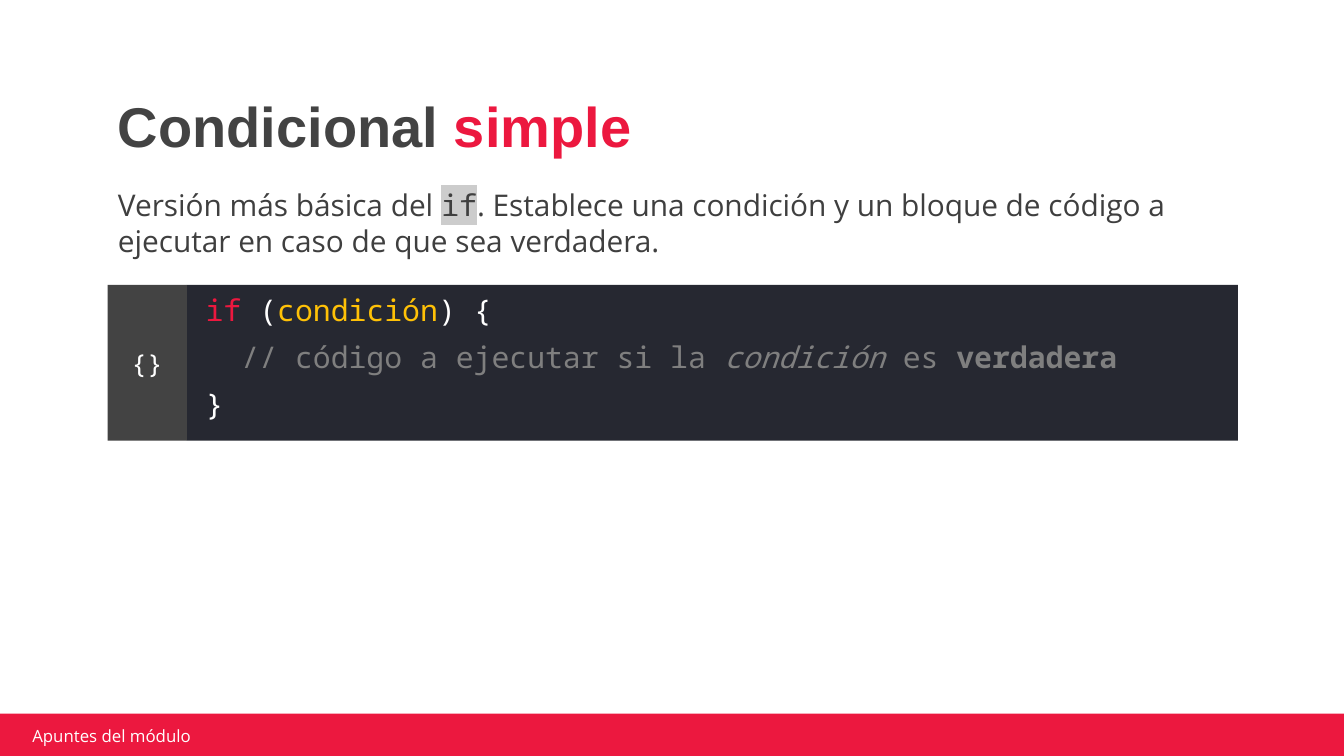
from dataclasses import dataclass
from typing import Optional

from lxml.etree import SubElement
from pptx import Presentation
from pptx.dml.color import RGBColor
from pptx.enum.shapes import MSO_SHAPE
from pptx.enum.text import MSO_ANCHOR as Anchor, PP_ALIGN as Align
from pptx.oxml.ns import qn
from pptx.util import Inches, Pt

WHITE = RGBColor(0xFF, 0xFF, 0xFF)
RED = RGBColor(0xEC, 0x18, 0x3F)
AMBER = RGBColor(0xFF, 0xC1, 0x07)
CHARCOAL = RGBColor(0x43, 0x43, 0x43)
INK = RGBColor(0x3F, 0x3F, 0x3F)
GRAY = RGBColor(0x7F, 0x7F, 0x7F)
NAVY = RGBColor(0x26, 0x28, 0x31)
HIGHLIGHT = RGBColor(0xCC, 0xCC, 0xCC)

HEADING_FONT = "Arial"
BODY_FONT = "Open Sans"
CODE_FONT = "Noto Sans Mono"


@dataclass(frozen=True)
class Span:
    text: str
    color: RGBColor
    font: str = CODE_FONT
    bold: bool = False
    italic: bool = False
    highlight: Optional[RGBColor] = None


@dataclass(frozen=True)
class Block:
    box: tuple[float, float, float, float]
    lines: tuple[tuple[Span, ...], ...] = ()
    size: float = 16
    fill: Optional[RGBColor] = None
    anchor: Anchor = Anchor.MIDDLE
    align: Align = Align.LEFT
    insets: tuple[float, float, float, float] = (0.1, 0.1, 0.1, 0.1)
    space_before: float = 0
    line_spacing: float = 1.0


TITLE = Block(
    (0.78, 0.6, 8.43, 0.69),
    ((Span("Condicional ", CHARCOAL, HEADING_FONT, bold=True),
      Span("simple", RED, HEADING_FONT, bold=True)),),
    size=30, anchor=Anchor.BOTTOM, line_spacing=0.9,
)
EXPLANATION = Block(
    (0.78, 1.29, 8.43, 0.53),
    ((Span("Versión más básica del ", INK, BODY_FONT),
      Span("if", INK, highlight=HIGHLIGHT),
      Span(". Establece una condición y un bloque de código a ejecutar "
           "en caso de que sea verdadera.", INK, BODY_FONT)),),
    anchor=Anchor.TOP,
)
CODE = Block(
    (1.39, 2.12, 7.82, 1.16),
    ((Span("if", RED), Span(" (", WHITE),
      Span("condición", AMBER), Span(") {", WHITE)),
     (Span("  ", INK), Span("// código a ejecutar si la ", GRAY),
      Span("condición ", GRAY, italic=True), Span("es ", GRAY),
      Span("verdadera", GRAY, bold=True)),
     (Span("}", WHITE),)),
    fill=NAVY, insets=(0.14, 0, 0.1, 0.1), space_before=6,
)
BRACES = Block(
    (0.8, 2.12, 0.59, 1.16), ((Span("{}", WHITE),),),
    size=14, fill=CHARCOAL, align=Align.CENTER,
)
FOOTER_BAR = Block((-0.02, 5.31, 10.03, 0.36), fill=RED)
FOOTER = Block(
    (0.19, 5.4, 2.39, 0.15),
    ((Span("Apuntes del módulo", WHITE, BODY_FONT),),),
    size=9, insets=(0.05, 0.02, 0.05, 0.02),
)


def add_span(paragraph, span: Span, size: float) -> None:
    run = paragraph.add_run()
    run.text = span.text
    font = run.font
    font.name, font.size = span.font, Pt(size)
    font.bold, font.italic = span.bold, span.italic
    font.color.rgb = span.color
    if span.highlight is not None:
        properties = run._r.get_or_add_rPr()
        mark = SubElement(properties, qn("a:highlight"))
        SubElement(mark, qn("a:srgbClr"), val=str(span.highlight))
        properties.find(qn("a:solidFill")).addnext(mark)


def add_block(shapes, block: Block) -> None:
    bounds = [Inches(length) for length in block.box]
    if block.fill is None:
        area = shapes.add_textbox(*bounds)
    else:
        area = shapes.add_shape(MSO_SHAPE.RECTANGLE, *bounds)
        area.shadow.inherit = False
        area.fill.solid()
        area.fill.fore_color.rgb = block.fill
        area.line.fill.background()
    frame = area.text_frame
    frame.word_wrap = True
    frame.vertical_anchor = block.anchor
    (frame.margin_left, frame.margin_top,
     frame.margin_right, frame.margin_bottom) = map(Inches, block.insets)
    for index, line in enumerate(block.lines):
        paragraph = frame.add_paragraph() if index else frame.paragraphs[0]
        paragraph.alignment = block.align
        paragraph.space_before = Pt(block.space_before)
        paragraph.line_spacing = block.line_spacing
        for span in line:
            add_span(paragraph, span, block.size)


def main() -> None:
    deck = Presentation()
    deck.slide_width = Inches(10)
    deck.slide_height = deck.slide_width * 9 // 16
    slide = deck.slides.add_slide(deck.slide_layouts[6])
    snippet = slide.shapes.add_group_shape()
    for block in (CODE, BRACES):
        add_block(snippet.shapes, block)
    for block in (TITLE, EXPLANATION, FOOTER_BAR, FOOTER):
        add_block(slide.shapes, block)
    deck.save("out.pptx")


if __name__ == "__main__":
    main()
